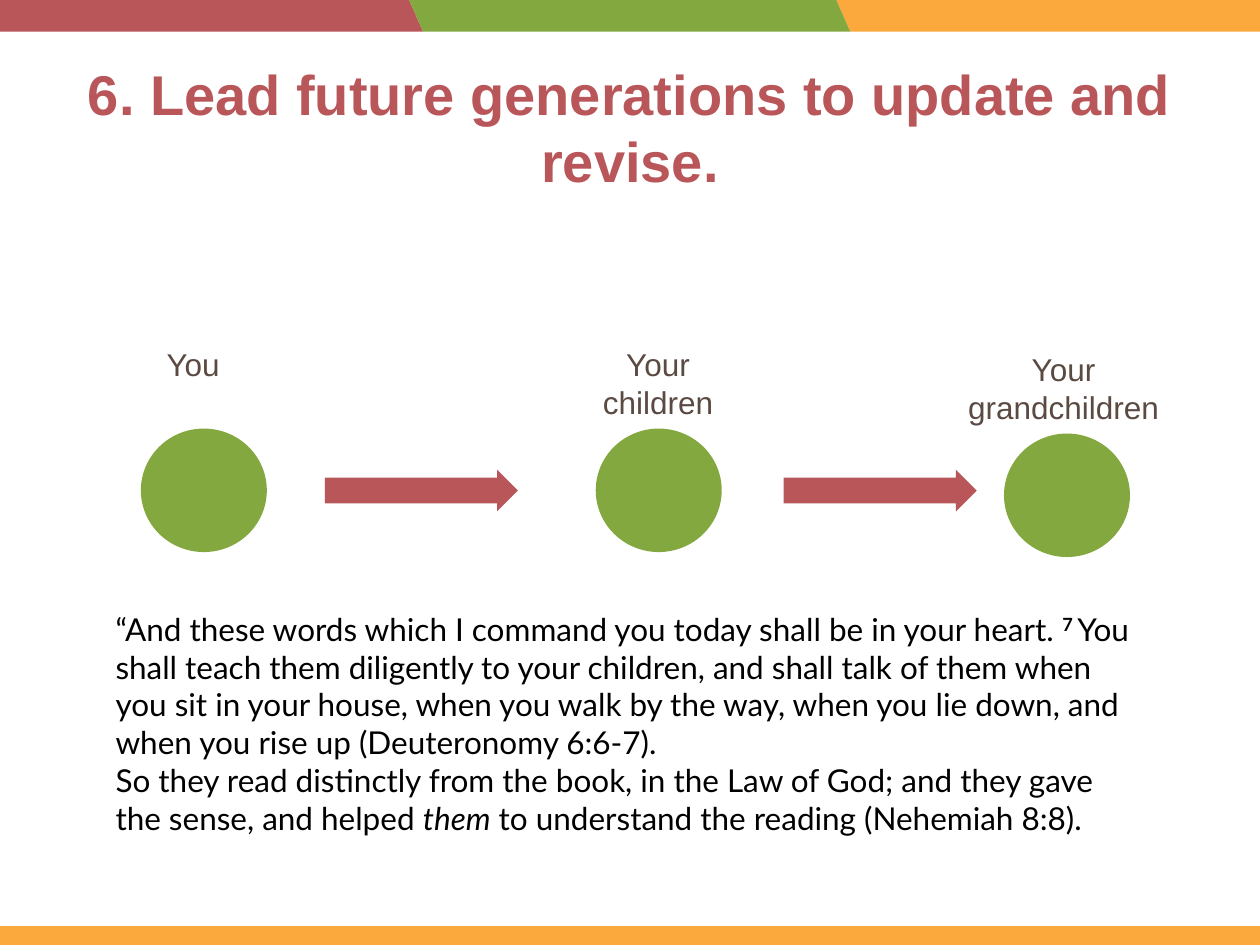
import dataclasses
import pptx
import pptx.dml.color
import pptx.enum.shapes
import pptx.enum.text
import pptx.util

Cm = pptx.util.Cm
Kind = pptx.enum.shapes.MSO_SHAPE
Align = pptx.enum.text.PP_ALIGN


@dataclasses.dataclass(frozen=True)
class Theme:
    red: str = "B95659"
    green: str = "83A83F"
    gold: str = "FBA93D"
    brown: str = "5B4A42"
    black: str = "000000"
    head: str = "Arial"
    body: str = "Lato"
    big: int = 32
    small: int = 18


THEME = Theme()


def apply(item, form):
    for key, value in form.items():
        setattr(item, key, value)


def place(item, box):
    apply(item, dict(zip(("left", "top", "width", "height"), map(Cm, box))))


def draw(slide, kind, box, color, bends=(), flip=False):
    shape = slide.shapes.add_shape(kind, *map(Cm, box))
    shape.shadow.inherit = False
    shape.fill.solid()
    shape.fill.fore_color.rgb = pptx.dml.color.RGBColor.from_string(color)
    shape.line.fill.background()
    for index, value in enumerate(bends):
        shape.adjustments[index] = value
    if flip:
        shape.element.spPr.xfrm.set("flipH", "1")


def write(frame, paras, align, color, form):
    apply(frame, {"word_wrap": True,
                  "vertical_anchor": pptx.enum.text.MSO_ANCHOR.TOP,
                  "auto_size": pptx.enum.text.MSO_AUTO_SIZE.NONE})
    for index, parts in enumerate(paras):
        para = frame.add_paragraph() if index else frame.paragraphs[0]
        para.alignment = align
        for text, extra, rise in parts:
            run = para.add_run()
            run.text = text
            apply(run.font, {**form, **extra})
            run.font.color.rgb = pptx.dml.color.RGBColor.from_string(color)
            if rise:
                run.font._element.set("baseline", str(rise * 1000))


def add_text(slide, box, paras, align, color, form):
    frame = slide.shapes.add_textbox(*map(Cm, box)).text_frame
    write(frame, paras, align, color, form)


def add_bands(slide, box):
    left, top, width, height = box
    step = 8.61
    for index, color in ((2, THEME.gold), (0, THEME.red), (1, THEME.green)):
        band = (left - 0.36 + index * step, top, 8.89, 0.64)
        draw(slide, Kind.PARALLELOGRAM, band, color, (0.436,), True)
    foot = 0.38
    draw(slide, Kind.RECTANGLE, (left, top + height - foot, width, foot), THEME.gold)


def add_title(slide, box):
    title = slide.shapes.title
    place(title, box)
    text = "6. Lead future generations to update and revise."
    form = {"name": THEME.head, "size": pptx.util.Pt(THEME.big), "bold": True}
    write(title.text_frame, [[(text, {}, 0)]], Align.CENTER, THEME.red, form)


def add_stage(slide, box, text, shift, size):
    left, top, width, height = box
    draw(slide, Kind.OVAL, box, THEME.green)
    form = {"name": THEME.head, "size": pptx.util.Pt(THEME.small)}
    label = (left + shift, top - 1.8, *size)
    add_text(slide, label, [[(text, {}, 0)]], Align.CENTER, THEME.brown, form)


def add_flow(slide, box):
    left, top, width, height = box
    stages = (
        (0, 0, "You", 0, (2.11, 1.02)),
        (9.17, 0, "Your children", -0.28, (3.07, 1.8)),
        (17.4, 0.1, "Your grandchildren", -1.06, (4.52, 1.8)),
    )
    for over, down, text, shift, size in stages:
        spot = (left + over, top + down, 2.54, height)
        add_stage(slide, spot, text, shift, size)
    for over in (3.71, 12.96):
        arrow = (left + over, top + 0.83, 3.89, 0.84)
        draw(slide, Kind.RIGHT_ARROW, arrow, THEME.red, (0.617, 0.5))


def add_quote(slide, box):
    paras = [
        [("“And these words which I command you today shall be in your heart. ", {}, 0),
         ("7 ", {"bold": True}, 30),
         ("You shall teach them diligently to your children, and shall talk of "
          "them when you sit in your house, when you walk by the way, when you "
          "lie down, and when you rise up (Deuteronomy 6:6-7).", {}, 0)],
        [("So they read distinctly from the book, in the Law of God; and they "
          "gave the sense, and helped ", {}, 0),
         ("them", {"italic": True}, 0),
         (" to understand the reading (Nehemiah 8:8).", {}, 0)],
    ]
    form = {"name": THEME.body, "size": pptx.util.Pt(THEME.small)}
    add_text(slide, box, paras, Align.LEFT, THEME.black, form)


def main():
    deck = pptx.Presentation()
    wide, high = 25.4, 19.05
    apply(deck, {"slide_width": Cm(wide), "slide_height": Cm(high)})
    slide = deck.slides.add_slide(deck.slide_layouts[5])
    add_bands(slide, (0, 0, wide, high))
    add_title(slide, (0.61, 1.07, 24.18, 3.68))
    add_flow(slide, (2.84, 8.64, 19.94, 2.49))
    add_quote(slide, (2.08, 12.17, 21.21, 4.88))
    deck.save("out.pptx")


if __name__ == "__main__":
    main()
